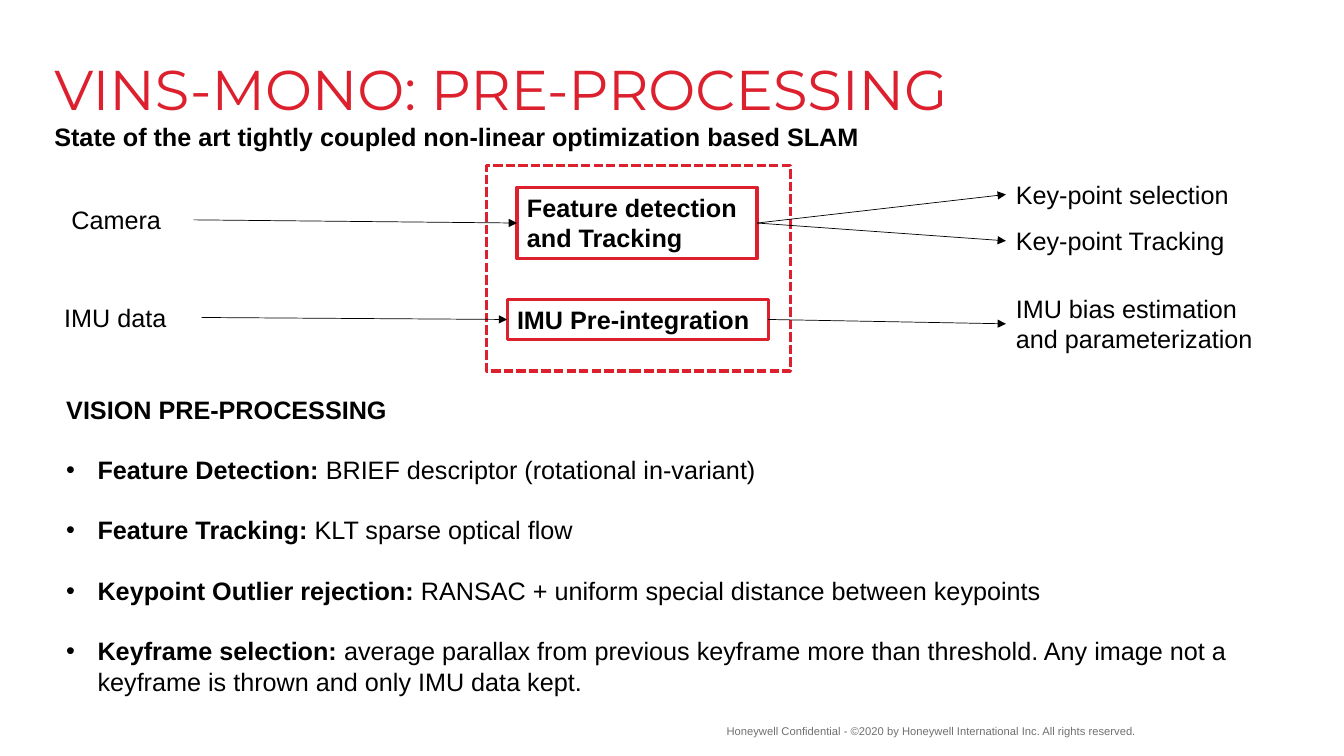
from lxml import etree
from pptx import Presentation
from pptx.dml.color import RGBColor
from pptx.enum.dml import MSO_LINE
from pptx.enum.shapes import MSO_CONNECTOR, MSO_SHAPE
from pptx.enum.text import MSO_ANCHOR, PP_ALIGN
from pptx.oxml.ns import qn
from pptx.util import Cm, Pt

RECTANGLE = MSO_SHAPE.RECTANGLE
STRAIGHT = MSO_CONNECTOR.STRAIGHT
SQUARE_DASH = MSO_LINE.SQUARE_DOT
TOP, BOTTOM = MSO_ANCHOR.TOP, MSO_ANCHOR.BOTTOM
LEFT = PP_ALIGN.LEFT
LEFT_SIDE, RIGHT_SIDE = 1, 3

COLORS = {"red": "DC202E", "black": "000000", "gray": "707070"}

prs = Presentation()
prs.slide_width, prs.slide_height = Cm(33.87), Cm(19.05)
slide = prs.slides.add_slide(prs.slide_layouts[6])
shapes = slide.shapes


def write(shape, text, size=18, color="black", bold=False, font="Arial", inset=True):
    """Fill a shape with left-aligned text of one format; inset=False drops the margins."""
    frame = shape.text_frame
    frame.word_wrap = True
    frame.vertical_anchor = TOP
    if not inset:
        frame.margin_left = frame.margin_right = frame.margin_top = frame.margin_bottom = 0
    frame.text = text
    for paragraph in frame.paragraphs:
        paragraph.alignment = LEFT
        for run in paragraph.runs:
            run.font.name, run.font.size, run.font.bold = font, Pt(size), bold
            run.font.color.rgb = RGBColor.from_string(COLORS[color])
    return shape


def add_outline(left, top, width, height):
    """Add an unfilled rectangle with a red border."""
    box = shapes.add_shape(RECTANGLE, Cm(left), Cm(top), Cm(width), Cm(height))
    box.shadow.inherit = False
    box.fill.background()
    box.line.color.rgb = RGBColor.from_string(COLORS["red"])
    box.line.width = Pt(2.25)
    return box


# Footer and headings
footer = shapes.add_textbox(Cm(18.31), Cm(17.98), Cm(11.43), Cm(0.61))
write(footer, "Honeywell Confidential - ©2020 by Honeywell International Inc. All rights reserved.",
      size=8, color="gray", inset=False)
footer.text_frame.word_wrap = False
footer.text_frame.vertical_anchor = BOTTOM

title = shapes.add_textbox(Cm(1.37), Cm(1.37), Cm(31.12), Cm(1.7))
write(title, "VINS-MONO: PRE-PROCESSING", size=40, color="red", font="Montserrat", inset=False)
subtitle = shapes.add_textbox(Cm(1.37), Cm(3.07), Cm(31.12), Cm(0.76))
write(subtitle, "State of the art tightly coupled non-linear optimization based SLAM",
      bold=True, inset=False)

# Pipeline: inputs, processing steps, outputs
labels = {}
for text, left, top, width, height in [
    ("Camera", 1.55, 5.03, 3.33, 1.02),
    ("IMU data", 1.37, 7.49, 3.71, 1.02),
    ("Key-point selection", 25.35, 4.39, 6.5, 1.02),
    ("Key-point Tracking", 25.35, 5.56, 6.5, 1.02),
    ("IMU bias estimation\nand parameterization", 25.35, 7.26, 7.42, 1.8),
]:
    label = shapes.add_textbox(Cm(left), Cm(top), Cm(width), Cm(height))
    labels[text] = write(label, text)

feature_step = write(add_outline(13.03, 4.72, 6.05, 1.8), "Feature detection and Tracking", bold=True)
imu_step = write(add_outline(12.78, 7.54, 6.58, 1.02), "IMU Pre-integration", bold=True)
add_outline(12.27, 4.17, 7.65, 5.18).line.dash_style = SQUARE_DASH

for source, target in [
    (labels["Camera"], feature_step),
    (labels["IMU data"], imu_step),
    (feature_step, labels["Key-point selection"]),
    (feature_step, labels["Key-point Tracking"]),
    (imu_step, labels["IMU bias estimation\nand parameterization"]),
]:
    arrow = shapes.add_connector(STRAIGHT, 0, 0, 0, 0)
    arrow.begin_connect(source, RIGHT_SIDE)
    arrow.end_connect(target, LEFT_SIDE)
    arrow.line.color.rgb = RGBColor.from_string(COLORS["black"])
    arrow.line.width = Pt(0.5)
    etree.SubElement(arrow.line._get_or_add_ln(), qn("a:tailEnd"), type="triangle")
    etree.SubElement(arrow._element.spPr, qn("a:effectLst"))

# Vision pre-processing notes
VISION_POINTS = [
    ("Feature Detection: ", "BRIEF descriptor (rotational in-variant)"),
    ("Feature Tracking: ", "KLT sparse optical flow"),
    ("Keypoint Outlier rejection: ", "RANSAC + uniform special distance between keypoints"),
    ("Keyframe selection: ", "average parallax from previous keyframe more than threshold. "
                             "Any image not a keyframe is thrown and only IMU data kept."),
]
vision = shapes.add_textbox(Cm(1.42), Cm(9.8), Cm(31.75), Cm(7.95))
write(vision, "VISION PRE-PROCESSING", bold=True)
for term, detail in VISION_POINTS:
    point = vision.text_frame.add_paragraph()
    properties = point._p.get_or_add_pPr()
    properties.set("marL", str(Cm(0.79)))
    properties.set("indent", str(-Cm(0.79)))
    etree.SubElement(properties, qn("a:buFont"), typeface="Arial")
    etree.SubElement(properties, qn("a:buChar"), char="•")
    point.alignment = LEFT
    point.space_before = Pt(21.6)
    for text, bold in [(term, True), (detail, False)]:
        run = point.add_run()
        run.text = text
        run.font.name, run.font.size, run.font.bold = "Arial", Pt(18), bold
        run.font.color.rgb = RGBColor.from_string(COLORS["black"])

prs.save("out.pptx")
